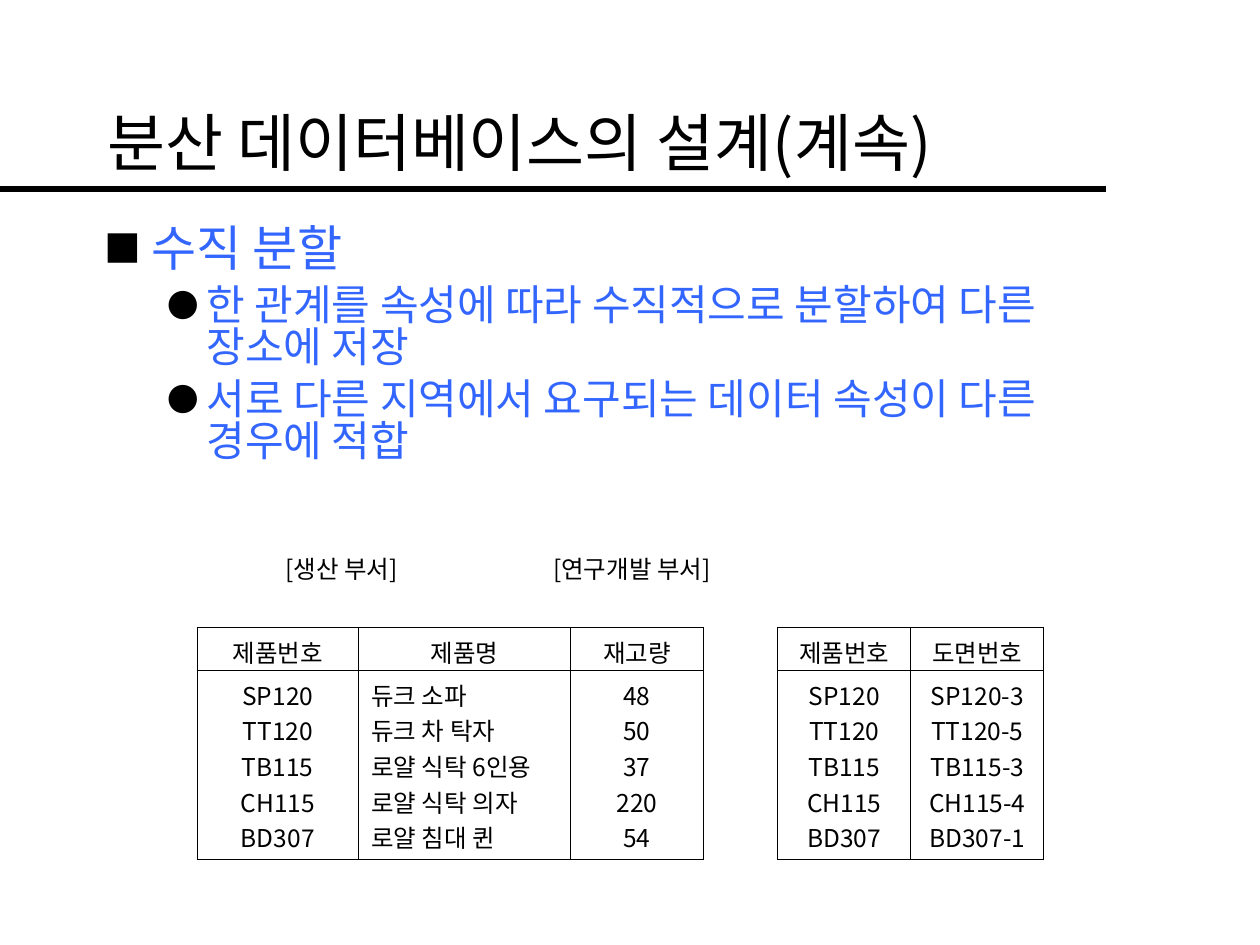
from dataclasses import dataclass

from lxml.etree import SubElement
from pptx import Presentation
from pptx.dml.color import RGBColor
from pptx.enum.text import MSO_ANCHOR, PP_ALIGN
from pptx.oxml import parse_xml
from pptx.oxml.ns import nsdecls, qn
from pptx.util import Pt


@dataclass(frozen=True)
class Theme:
    font: str = "Noto Sans CJK KR"
    ink: str = "000000"
    accent: str = "3366FF"
    title_size: int = 36
    topic_size: int = 28
    point_size: int = 24
    table_size: int = 14
    rule_width: float = 4
    border_width: float = 0.45


theme = Theme()


def add_run(paragraph, text, size, color=theme.ink):
    run = paragraph.add_run()
    run.text = text
    run.font.size = Pt(size)
    run.font.name = theme.font
    run.font.color.rgb = RGBColor.from_string(color)
    SubElement(run.font._element, qn("a:ea"), typeface=theme.font)


def set_borders(cell, visible_sides):
    properties = cell._tc.get_or_add_tcPr()
    for position, side in enumerate("LRTB"):
        fill = "<a:noFill/>"
        if side in visible_sides:
            fill = f'<a:solidFill><a:srgbClr val="{theme.ink}"/></a:solidFill>'
        border = parse_xml(
            f'<a:ln{side} {nsdecls("a")} w="{Pt(theme.border_width)}">{fill}</a:ln{side}>')
        properties.insert(position, border)


prs = Presentation()
prs.slide_width, prs.slide_height = Pt(720), Pt(540)
slide = prs.slides.add_slide(prs.slide_layouts[5])

# Title and the rule beneath it
title = slide.shapes.title
title.left, title.top, title.width, title.height = Pt(54), Pt(36), Pt(612), Pt(90)
title.text_frame.vertical_anchor = MSO_ANCHOR.MIDDLE
heading = title.text_frame.paragraphs[0]
heading.alignment = PP_ALIGN.LEFT
add_run(heading, "분산 데이터베이스의 설계(계속)", theme.title_size)

rule = slide.shapes.add_connector(1, Pt(0), Pt(108), Pt(632), Pt(108))
rule.line.width = Pt(theme.rule_width)
rule.line.color.rgb = RGBColor.from_string(theme.ink)
SubElement(rule._element.spPr, qn("a:effectLst"))

# Bulleted explanation: text, level, bullet, left margin, hanging indent, size
points = [
    ("수직 분할", 0, "■", 27, 27, theme.topic_size),
    ("한 관계를 속성에 따라 수직적으로 분할하여 다른 장소에 저장",
     1, "●", 58.5, 22.5, theme.point_size),
    ("서로 다른 지역에서 요구되는 데이터 속성이 다른 경우에 적합",
     1, "●", 58.5, 22.5, theme.point_size),
]
explanation = slide.shapes.add_textbox(Pt(52.5), Pt(126.5), Pt(612), Pt(324)).text_frame
explanation.word_wrap = True
for index, (text, level, bullet, margin, hanging, size) in enumerate(points):
    point = explanation.add_paragraph() if index else explanation.paragraphs[0]
    point.level = level
    point.line_spacing = 0.83
    point.space_before = Pt(6 if index else 0)
    layout = point._p.get_or_add_pPr()
    layout.set("marL", str(Pt(margin)))
    layout.set("indent", str(-Pt(hanging)))
    bullet_color = SubElement(layout, qn("a:buClr"))
    SubElement(bullet_color, qn("a:srgbClr"), val=theme.ink)
    SubElement(layout, qn("a:buSzPct"), val="75000")
    SubElement(layout, qn("a:buFont"), typeface=theme.font)
    SubElement(layout, qn("a:buChar"), char=bullet)
    add_run(point, text, size, theme.accent)

# Department labels, placed by tab stops
departments = slide.shapes.add_textbox(Pt(121.5), Pt(304.5), Pt(496), Pt(41)).text_frame
departments.word_wrap = True
departments.vertical_anchor = MSO_ANCHOR.MIDDLE
labels = departments.paragraphs[0]
tab_stops = SubElement(labels._p.get_or_add_pPr(), qn("a:tabLst"))
for stop in (34.5, 187.5):
    SubElement(tab_stops, qn("a:tab"), pos=str(Pt(stop)), algn="l")
add_run(labels, "\t[생산 부서]\t[연구개발 부서]", theme.table_size)

# Both fragments in one table, parted by an empty column
product_ids = ["SP120", "TT120", "TB115", "CH115", "BD307"]
columns = [
    (92.5, "제품번호", product_ids),
    (121, "제품명", ["듀크 소파", "듀크 차 탁자", "로얄 식탁 6인용", "로얄 식탁 의자", "로얄 침대 퀸"]),
    (76, "재고량", ["48", "50", "37", "220", "54"]),
    (42.5, "", []),
    (76, "제품번호", product_ids),
    (76, "도면번호", ["SP120-3", "TT120-5", "TB115-3", "CH115-4", "BD307-1"]),
]
fragments = slide.shapes.add_table(
    2, len(columns), Pt(112.5), Pt(358.5), Pt(484), Pt(132.5)).table
fragments.first_row = fragments.horz_banding = False
fragments.rows[0].height, fragments.rows[1].height = Pt(24.5), Pt(108)

for column, (width, header, values) in enumerate(columns):
    fragments.columns[column].width = Pt(width)
    for row, lines in enumerate(([header], values)):
        cell = fragments.cell(row, column)
        cell.fill.background()
        set_borders(cell, "LRTB" if header else "LR")
        if not header:
            SubElement(cell.text_frame.paragraphs[0]._p, qn("a:endParaRPr"),
                       sz=str(theme.table_size * 100))
            continue
        for index, line in enumerate(lines):
            entry = cell.text_frame.add_paragraph() if index else cell.text_frame.paragraphs[0]
            is_name = row == 1 and header == "제품명"
            entry.alignment = PP_ALIGN.LEFT if is_name else PP_ALIGN.CENTER
            add_run(entry, line, theme.table_size)

prs.save("out.pptx")
